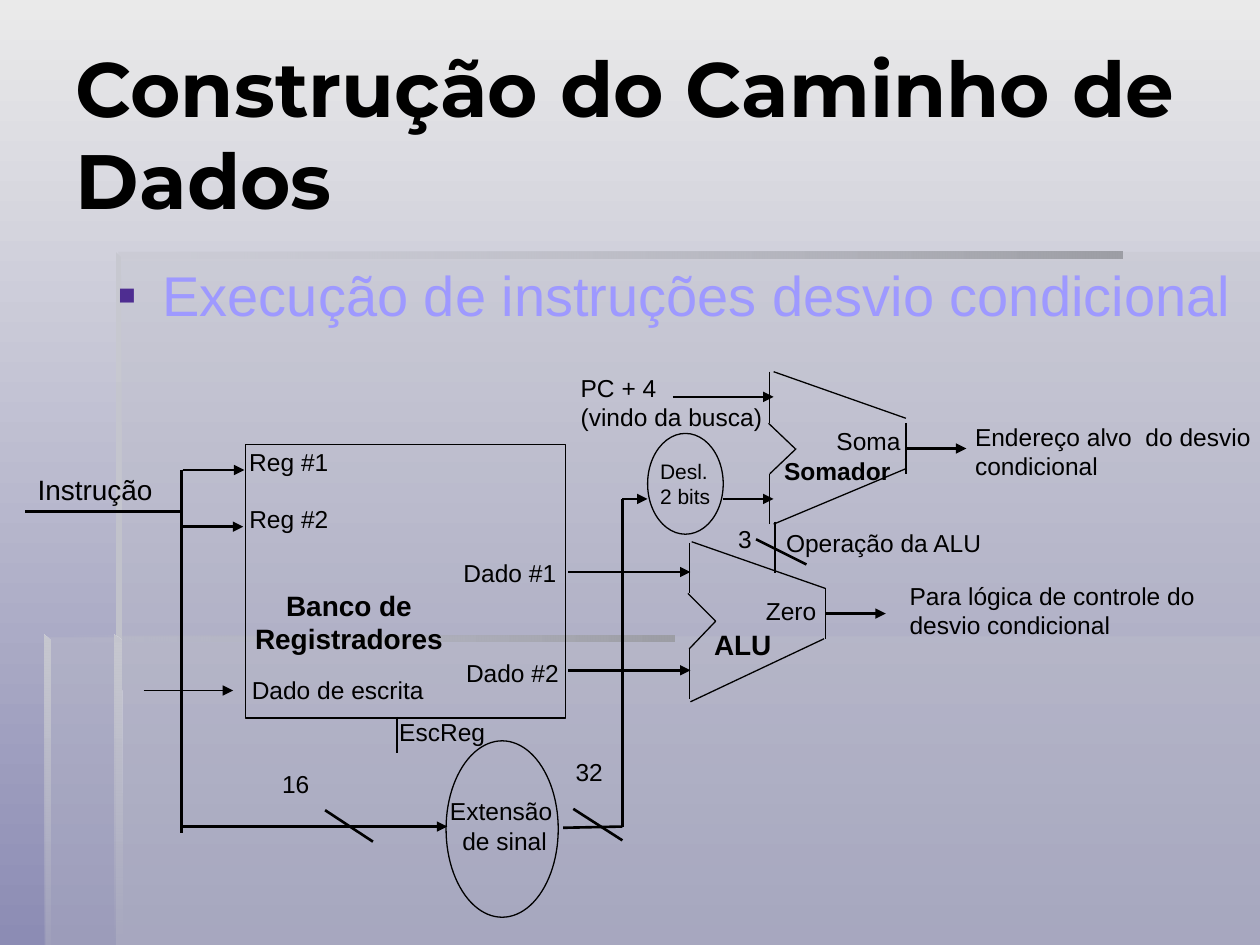
from lxml import etree
from pptx import Presentation
from pptx import util as u
from pptx.dml.color import RGBColor
from pptx.enum import shapes, text
from pptx.oxml.ns import qn

BLACK = "000000"
THIN, THICK = 0.75, 1.5
LEFT, CENTER = text.PP_ALIGN.LEFT, text.PP_ALIGN.CENTER

# outline points, (colour, alpha) stops, gradient angle
PANELS = [
    ([(0.92, 5.05), (0.92, 7.5), (10, 7.5), (10, 5.05)], [("C1C2CB", 30)], None),
    ([(0.94, 5.06), (0.36, 5.06), (0.36, 7.5), (10, 7.5), (10, 2), (0.94, 2)],
     [("C1C2CB", 30)], None),
    ([(0.92, 2), (0.92, 2.05), (8.91, 2.05), (8.91, 2)],
     [("9D9EA5", 100), ("C1C2CB", 0)], 180),
    ([(0.92, 2), (0.92, 5.1), (0.97, 5.1), (0.96, 2.04)],
     [("C7C8D0", 100), ("C1C2CB", 100)], 270),
    ([(0.91, 7.5), (0.97, 7.5), (0.96, 5.08), (0.91, 5.04)],
     [("C7C8D0", 100), ("C1C2CB", 0)], 270),
    ([(0.35, 5.04), (0.35, 5.09), (5.35, 5.09), (5.35, 5.04)],
     [("9D9EA5", 100), ("C1C2CB", 0)], 180),
    ([(0.35, 5.04), (0.35, 7.5), (0.4, 7.5), (0.4, 5.09)],
     [("C7C8D0", 100), ("C1C2CB", 10)], 270),
]

BLOCKS = [
    (shapes.MSO_SHAPE.RECTANGLE, (1.95, 3.53, 2.54, 2.17)),
    (shapes.MSO_SHAPE.OVAL, (3.54, 5.88, 0.89, 1.4)),
    (shapes.MSO_SHAPE.OVAL, (5.14, 3.44, 0.6, 0.8)),
]

ALU_EDGES = [
    (6.55, 4.67, 6.55, 5.07), (5.49, 4.3, 6.55, 4.67), (6.54, 5.07, 5.48, 5.57),
    (5.47, 4.31, 5.47, 4.71), (5.47, 5.15, 5.47, 5.55),
    (5.46, 4.71, 5.68, 4.93), (5.68, 4.93, 5.47, 5.15),
]
ADDER_EDGES = [
    (7.19, 3.36, 7.19, 3.76), (6.14, 2.95, 7.19, 3.32), (6.14, 4.16, 7.19, 3.72),
    (6.11, 2.95, 6.11, 3.36), (6.11, 3.76, 6.11, 4.16),
    (6.1, 3.36, 6.31, 3.56), (6.32, 3.56, 6.11, 3.76),
]
WIRES = [
    (0.2, 4.06, 1.43, 4.06), (3.15, 5.69, 3.15, 5.98), (1.44, 3.73, 1.44, 6.61),
    (4.47, 6.57, 4.94, 6.56), (6.15, 4.14, 6.15, 4.55), (4.94, 3.96, 4.94, 6.56),
]
BUS_MARKS = [
    (2.58, 6.43, 2.96, 6.68), (6, 4.28, 6.4, 4.48), (4.55, 6.42, 4.94, 6.67),
]
ARROWS = [
    (1.45, 3.73, 1.94, 3.73), (1.44, 4.18, 1.93, 4.18), (6.55, 4.87, 7.03, 4.87),
    (1.44, 6.56, 3.55, 6.56), (7.19, 3.56, 7.67, 3.56), (5.74, 3.96, 6.14, 3.96),
    (5.34, 3.15, 6.14, 3.15), (4.51, 4.54, 5.48, 4.54), (4.51, 5.32, 5.48, 5.32),
]
THIN_ARROWS = [(4.94, 3.96, 5.14, 3.96), (1.14, 5.48, 1.85, 5.48)]

# place, paragraphs, size, bold, alignment
LABELS = [
    ((1.88, 3.5, 1.07, 0.48), ["Reg #1"], 14, False, LEFT),
    ((1.88, 3.95, 1.15, 0.43), ["Reg #2"], 14, False, LEFT),
    ((3.58, 4.38, 1.42, 0.41), ["Dado #1"], 14, False, LEFT),
    ((3.6, 5.17, 1.48, 0.38), ["Dado #2"], 14, False, LEFT),
    ((1.9, 5.31, 1.84, 0.4), ["Dado de escrita"], 14, False, LEFT),
    ((1.75, 4.62, 2.04, 0.84), ["Banco de Registradores"], 16, True, CENTER),
    ((5.47, 4.93, 0.85, 0.4), ["ALU"], 16, True, CENTER),
    ((5.98, 4.68, 0.75, 0.34), ["Zero"], 14, False, LEFT),
    ((6.14, 4.14, 1.8, 0.54), ["Operação da ALU"], 14, False, LEFT),
    ((3.07, 5.64, 1.14, 0.48), ["EscReg"], 14, False, LEFT),
    ((5.76, 4.11, 0.5, 0.35), ["3"], 14, False, LEFT),
    ((2.14, 6.05, 0.75, 0.71), ["16"], 14, False, LEFT),
    ((4.47, 5.96, 0.8, 0.6), ["32"], 14, False, LEFT),
    ((5.97, 3.57, 1.35, 0.42), ["Somador"], 14, True, CENTER),
    ((6.54, 3.33, 0.82, 0.42), ["Soma"], 14, False, LEFT),
    ((5.14, 3.59, 0.72, 0.59), ["Desl.", "2 bits"], 12, False, LEFT),
    ((7.64, 3.3, 2.4, 0.61), ["Endereço alvo  do desvio condicional"], 14, False, LEFT),
    ((7.12, 4.56, 2.61, 0.69), ["Para lógica de controle do desvio condicional"],
     14, False, LEFT),
    ((4.51, 2.91, 1.75, 0.69), ["PC + 4", "(vindo da busca)"], 14, False, LEFT),
    ((3.35, 6.27, 1.31, 0.69), ["Extensão ", "de sinal"], 14, False, CENTER),
    ((0.2, 3.7, 1.26, 0.37), ["Instrução"], 16, False, LEFT),
]


def length(inches):
    """Return a length in Cm for a value measured in inches."""
    return u.Cm(inches * 2.54)


def color(value):
    """Return the colour for a hex string."""
    return RGBColor.from_string(value)


def fill_gradient(fill, values, angle):
    """Give a fill a two-stop linear gradient."""
    fill.gradient()
    fill.gradient_angle = angle
    for stop, value in zip(fill.gradient_stops, values):
        stop.color.rgb = color(value)


def add_panel(page, points, stops, angle):
    """Draw one translucent decorative outline."""
    corners = [tuple(map(length, point)) for point in points]
    builder = page.shapes.build_freeform(*corners[0])
    builder.add_line_segments(corners[1:], close=True)
    panel = builder.convert_to_shape()
    panel.shadow.inherit = False
    panel.line.fill.background()
    if angle is None:
        panel.fill.solid()
        panel.fill.fore_color.rgb = color(stops[0][0])
    else:
        fill_gradient(panel.fill, [value for value, _ in stops], angle)
    marks = panel.element.spPr.iter(qn("a:srgbClr"))
    for mark, (_, alpha) in zip(list(marks), stops):
        etree.SubElement(mark, qn("a:alpha")).set("val", str(alpha * 1000))


def add_block(page, kind, place):
    """Draw an unfilled outlined block."""
    block = page.shapes.add_shape(kind, *map(length, place))
    block.shadow.inherit = False
    block.fill.background()
    block.line.color.rgb = color(BLACK)
    block.line.width = u.Pt(THIN)


def add_lines(page, segments, width, arrow=False):
    """Draw straight lines, with arrowheads if asked."""
    for ends in segments:
        wire = page.shapes.add_connector(shapes.MSO_CONNECTOR.STRAIGHT, *map(length, ends))
        wire.line.color.rgb = color(BLACK)
        wire.line.width = u.Pt(width)
        properties = wire.element.spPr
        if arrow:
            head = etree.SubElement(properties.find(qn("a:ln")), qn("a:tailEnd"))
            head.set("type", "triangle")
        etree.SubElement(properties, qn("a:effectLst"))


def add_span(para, words, size, value=BLACK, bold=False, font="Arial"):
    """Add one formatted run to a paragraph."""
    span = para.add_run()
    span.text = words
    span.font.name = font
    span.font.size = u.Pt(size)
    span.font.bold = bold
    span.font.color.rgb = color(value)


def add_label(page, place, lines, size, bold, align):
    """Add a wrapped text box with one paragraph per line."""
    frame = page.shapes.add_textbox(*map(length, place)).text_frame
    frame.word_wrap = True
    for index, words in enumerate(lines):
        para = frame.add_paragraph() if index else frame.paragraphs[0]
        para.alignment = align
        add_span(para, words, size, bold=bold)


def place_holder(holder, place, anchor):
    """Move a placeholder to the front and return its first paragraph."""
    holder.left, holder.top, holder.width, holder.height = map(length, place)
    holder.element.getparent().append(holder.element)
    frame = holder.text_frame
    frame.word_wrap = True
    frame.auto_size = text.MSO_AUTO_SIZE.NONE
    frame.vertical_anchor = anchor
    para = frame.paragraphs[0]
    para.alignment = LEFT
    para.space_before = u.Pt(0)
    return para


def add_bullet(para, symbol, value, indent):
    """Give a paragraph a coloured bullet and a hanging indent."""
    properties = para._p.get_or_add_pPr()
    properties.set("marL", str(length(indent)))
    properties.set("indent", str(-length(indent)))
    tint = etree.SubElement(properties, qn("a:buClr"))
    etree.SubElement(tint, qn("a:srgbClr")).set("val", value)
    etree.SubElement(properties, qn("a:buFont")).set("typeface", "Arial")
    etree.SubElement(properties, qn("a:buChar")).set("char", symbol)


def main():
    """Build the data path slide and save it."""
    deck = Presentation()
    deck.slide_width, deck.slide_height = length(10), length(7.5)
    page = deck.slides.add_slide(deck.slide_layouts[1])
    fill_gradient(page.background.fill, ["EAEAEA", "8C8CB4"], 270)
    for panel in PANELS:
        add_panel(page, *panel)

    title = place_holder(page.shapes.title, (0.5, 0.27, 9.17, 1.57), text.MSO_ANCHOR.MIDDLE)
    add_span(title, "Construção do Caminho de Dados", 44, bold=True, font="Montserrat")
    topic = place_holder(page.placeholders[1], (0.83, 2.02, 9.35, 0.64), text.MSO_ANCHOR.TOP)
    add_bullet(topic, "▪", "4E2D91", 0.36)
    add_span(topic, "Execução de instruções desvio condicional", 32, "9E99FF")

    for block in BLOCKS:
        add_block(page, *block)
    add_lines(page, ALU_EDGES + ADDER_EDGES, THIN)
    add_lines(page, WIRES + BUS_MARKS, THICK)
    add_lines(page, ARROWS, THICK, arrow=True)
    add_lines(page, THIN_ARROWS, THIN, arrow=True)
    for label in LABELS:
        add_label(page, *label)
    deck.save("out.pptx")


if __name__ == "__main__":
    main()
